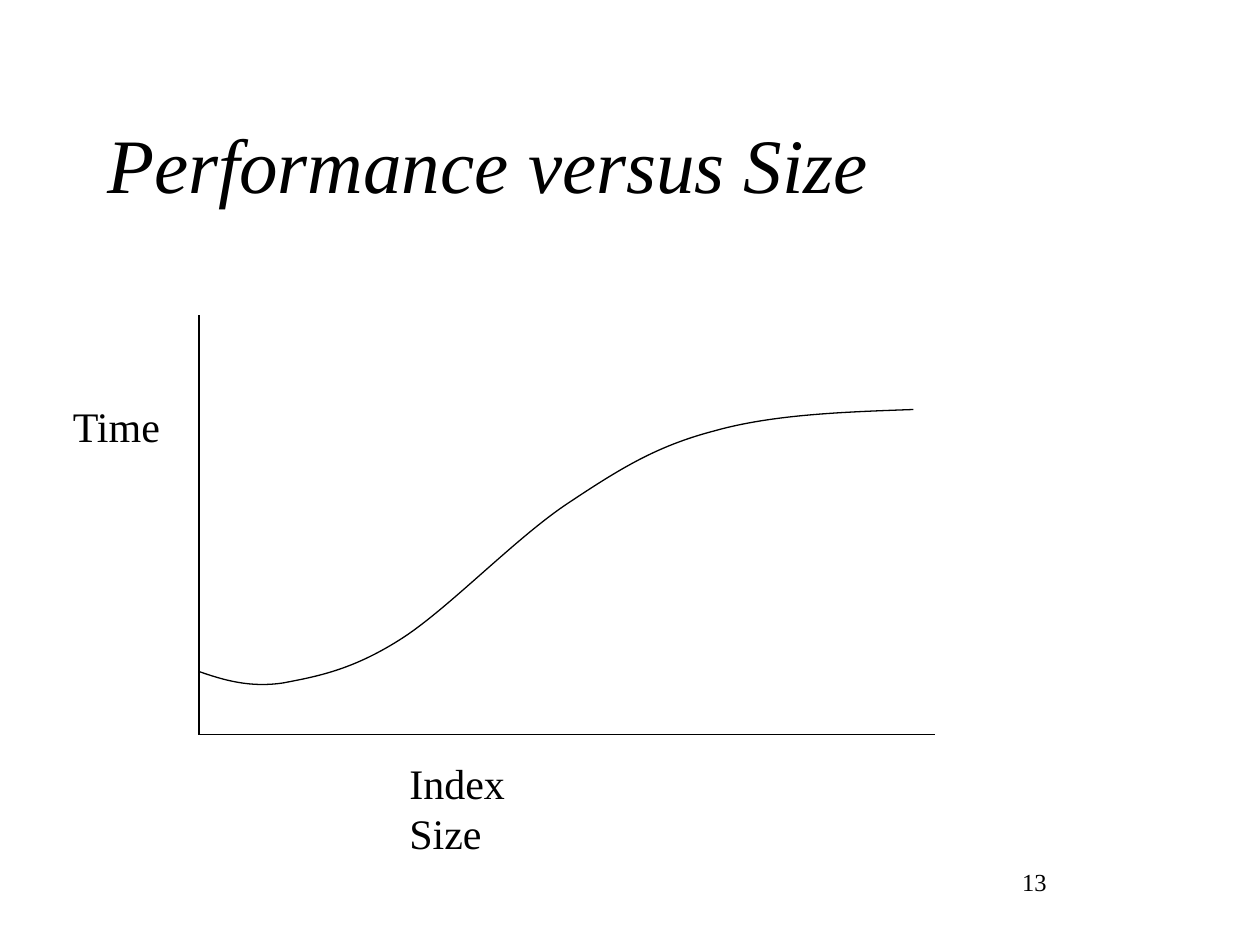
from itertools import chain

from lxml.etree import SubElement
from pptx import Presentation
from pptx.dml.color import RGBColor
from pptx.enum.shapes import MSO_CONNECTOR
from pptx.enum.text import MSO_ANCHOR, MSO_AUTO_SIZE, PP_ALIGN
from pptx.oxml.ns import qn
from pptx.util import Inches, Pt

FONT = "Times New Roman"
INK = "000000"
ORIGIN = (1.58, 5.83)
AXIS_ENDS = [(1.58, 2.5), (7.42, 5.83)]
CURVE_START = (1.58, 5.33)
CURVE_SEGMENTS = [
    [(1.78, 5.4), (1.99, 5.46), (2.25, 5.42)],
    [(2.51, 5.37), (2.79, 5.32), (3.17, 5.08)],
    [(3.54, 4.85), (4.08, 4.28), (4.5, 4)],
    [(4.92, 3.72), (5.21, 3.54), (5.67, 3.42)],
    [(6.13, 3.29), (6.69, 3.27), (7.25, 3.25)],
]


def color(hex_code):
    """Return the colour for a hex string."""
    return RGBColor.from_string(hex_code)


def write(frame, text, size, align=PP_ALIGN.LEFT, italic=False):
    """Write one formatted run into the first paragraph of a frame."""
    paragraph = frame.paragraphs[0]
    paragraph.alignment = align
    run = paragraph.add_run()
    run.text = text
    run.font.name = FONT
    run.font.size = Pt(size)
    run.font.italic = italic
    run.font.color.rgb = color(INK)


def set_title(slide, text):
    """Place and fill the title placeholder."""
    title = slide.shapes.title
    title.left, title.top = Inches(0.75), Inches(0.67)
    title.width, title.height = Inches(8.5), Inches(1.25)
    title.text_frame.vertical_anchor = MSO_ANCHOR.MIDDLE
    title.text_frame.auto_size = MSO_AUTO_SIZE.NONE
    write(title.text_frame, text, 44, italic=True)


def add_label(slide, text, left, top, width):
    """Add an axis label that grows with its text."""
    label = slide.shapes.add_textbox(
        Inches(left), Inches(top), Inches(width), Inches(0.5))
    label.text_frame.word_wrap = False
    label.text_frame.auto_size = MSO_AUTO_SIZE.SHAPE_TO_FIT_TEXT
    write(label.text_frame, text, 24)


def add_page_number(slide, number):
    """Add the centred page number."""
    page = slide.shapes.add_textbox(
        Inches(7.17), Inches(6.83), Inches(2.08), Inches(0.5))
    page.text_frame.word_wrap = True
    write(page.text_frame, number, 14, PP_ALIGN.CENTER)


def style_line(line):
    """Give a line the thin ink stroke."""
    line.color.rgb = color(INK)
    line.width = Pt(0.75)


def add_axis(slide, start, end):
    """Draw a straight axis between two points."""
    axis = slide.shapes.add_connector(
        MSO_CONNECTOR.STRAIGHT, *map(Inches, start + end))
    style_line(axis.line)
    SubElement(axis.element.spPr, qn("a:effectLst"))


def add_curve(slide, start, segments):
    """Draw an open curve from cubic segments of two controls and an end."""
    builder = slide.shapes.build_freeform(*map(Inches, start))
    builder.add_line_segments(
        [tuple(map(Inches, point)) for point in chain(*segments)], close=False)
    curve = builder.convert_to_shape()
    curve.shadow.inherit = False
    curve.fill.background()
    style_line(curve.line)
    outline = curve.element.find(".//" + qn("a:path"))
    steps = outline.findall(qn("a:lnTo"))
    for first in range(0, len(steps), 3):
        bezier = SubElement(outline, qn("a:cubicBezTo"))
        for step in steps[first:first + 3]:
            bezier.append(step[0])
            outline.remove(step)


def main():
    """Build the slide and save it."""
    deck = Presentation()
    deck.slide_width, deck.slide_height = Inches(10), Inches(7.5)
    slide = deck.slides.add_slide(deck.slide_layouts.get_by_name("Title Only"))
    set_title(slide, "Performance versus Size")
    for end in AXIS_ENDS:
        add_axis(slide, ORIGIN, end)
    add_label(slide, "Index Size", 3.15, 5.96, 1.61)
    add_label(slide, "Time", 0.48, 3.13, 0.9)
    add_curve(slide, CURVE_START, CURVE_SEGMENTS)
    add_page_number(slide, "13")
    deck.save("out.pptx")


if __name__ == "__main__":
    main()
